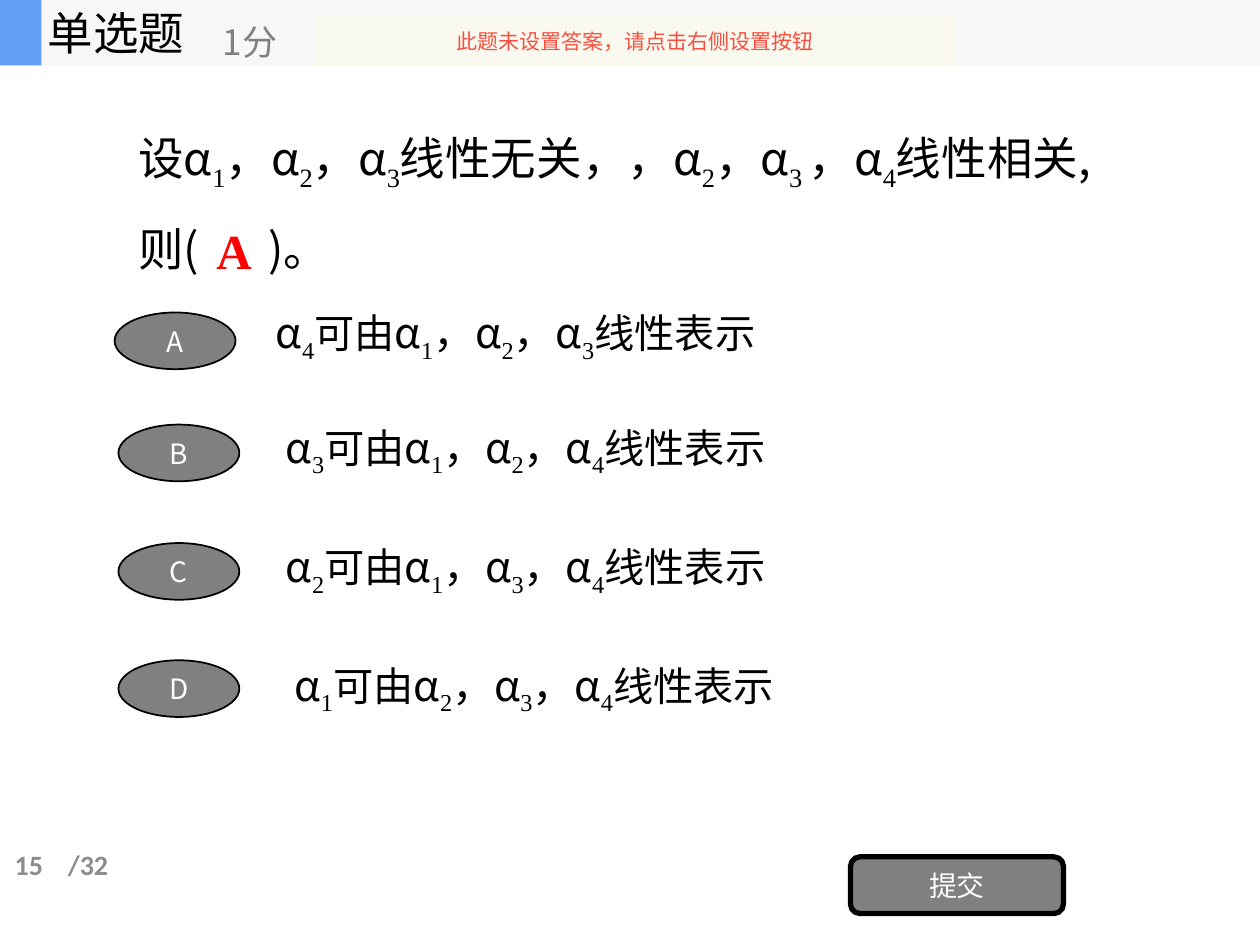
from dataclasses import dataclass
from itertools import groupby

from lxml.etree import SubElement
from pptx import Presentation
from pptx.dml.color import RGBColor
from pptx.enum.shapes import MSO_SHAPE as SHAPE
from pptx.enum.text import MSO_ANCHOR as ANCHOR, MSO_AUTO_SIZE as AUTO, PP_ALIGN as ALIGN
from pptx.oxml.ns import qn
from pptx.util import Inches, Pt


@dataclass(frozen=True)
class Theme:
    cjk: str = "Noto Sans CJK SC"
    serif: str = "Times New Roman"
    sans: str = "Calibri"
    ink: str = "000000"
    white: str = "FFFFFF"
    gray: str = "808080"
    page: str = "8C8C8C"
    answer: str = "FF0000"
    bar: str = "F6F7F8"
    accent: str = "639EF4"
    banner: str = "FBFAEF"
    warning: str = "F84F41"
    question_size: int = 26
    symbol_size: int = 24
    word_size: int = 23
    answer_size: int = 28
    points_size: int = 20
    label_size: int = 16
    notice_size: int = 12


T = Theme()
WIDTH, HEIGHT = Inches(10), Inches(7.5)

TITLE = "单选题"
POINTS = "1分"
NOTICE = "此题未设置答案，请点击右侧设置按钮"
QUESTION = "设α1，α2，α3线性无关，，α2，α3 ，α4线性相关,"
BLANK = "则(\t)。"
ANSWER = "A"
SUBMIT = "提交"
PAGE, TOTAL = "15", "/32"
OPTIONS = [
    ("A", "α4可由α1，α2，α3线性表示", (9.1, 33.07), (20.9, 32.13)),
    ("B", "α3可由α1，α2，α4线性表示", (9.4, 44.93), (21.7, 44.27)),
    ("C", "α2可由α1，α3，α4线性表示", (9.4, 57.47), (21.7, 56.93)),
    ("D", "α1可由α2，α3，α4线性表示", (9.4, 69.87), (22.4, 69.47)),
]
BADGE = (9.6, 6)
OPTION = (59.1, 6.7)
HEADER_HEIGHT = 6.93


def share(x, y, w, h):
    return [int(v * full / 100) for v, full in zip((x, y, w, h), (WIDTH, HEIGHT) * 2)]


def add_run(p, text, size, color, font, bold=False, sub=False):
    r = p.add_run()
    r.text = text
    r.font.size, r.font.bold, r.font.name = Pt(size), bold, font
    r.font.color.rgb = RGBColor.from_string(color)
    rPr = r.font._element
    SubElement(rPr, qn("a:ea"), typeface=font)
    if sub:
        rPr.set("baseline", "-25000")


def write(sp, text, size=T.label_size, color=T.ink, font=T.cjk, bold=False,
          align=ALIGN.LEFT, anchor=ANCHOR.MIDDLE, grow=False, tab=None,
          formula=False, word_size=None):
    tf = sp.text_frame
    tf.word_wrap = True
    tf.auto_size = AUTO.SHAPE_TO_FIT_TEXT if grow else AUTO.NONE
    tf.vertical_anchor = anchor
    p = tf.paragraphs[0]
    p.alignment = align
    if tab:
        tabs = SubElement(p._p.get_or_add_pPr(), qn("a:tabLst"))
        SubElement(tabs, qn("a:tab"), pos=str(tab), algn="l")
    if not formula:
        add_run(p, text, size, color, font, bold)
        return sp
    for kind, chars in groupby(text, key=char_kind):
        run_size = word_size if kind == "word" and word_size else size
        sub = kind == "index"
        add_run(p, "".join(chars), run_size, color, T.serif if sub else font, bold, sub)
    return sp


def char_kind(c):
    if c.isdigit() or c == " ":
        return "index"
    return "symbol" if c in "α，" else "word"


def add_text(slide, box, text, **fmt):
    return write(slide.shapes.add_textbox(*share(*box)), text, **fmt)


def add_block(slide, kind, box, fill, line=None, width=1):
    sp = slide.shapes.add_shape(kind, *share(*box))
    sp.shadow.inherit = False
    sp.fill.solid()
    sp.fill.fore_color.rgb = RGBColor.from_string(fill)
    if line:
        sp.line.color.rgb = RGBColor.from_string(line)
        sp.line.width = Pt(width)
    else:
        sp.line.fill.background()
    return sp


def add_button(slide, kind, box, text, width):
    sp = add_block(slide, kind, box, T.gray, T.ink, width)
    write(sp, text, color=T.white, align=ALIGN.CENTER)


def add_header(slide):
    add_block(slide, SHAPE.RECTANGLE, (0, 0, 100, HEADER_HEIGHT), T.bar)
    accent = add_block(slide, SHAPE.RECTANGLE, (0, 0, 3.3, HEADER_HEIGHT), T.accent)
    title = slide.shapes.title
    title.left, title.top, title.width, title.height = share(2.8, 0, 33.3, HEADER_HEIGHT)
    write(title, TITLE, size=T.question_size)
    accent._element.addnext(title._element)
    add_text(slide, (16.7, 1.6, 40, 5.6), POINTS, size=T.points_size, color=T.gray)
    banner = add_block(slide, SHAPE.RECTANGLE, (24.9, 1.73, 51, 5.33), T.banner)
    SubElement(banner.fill._xPr.find(".//" + qn("a:srgbClr")), qn("a:alpha"), val="90000")
    write(banner, NOTICE, size=T.notice_size, color=T.warning, align=ALIGN.CENTER)


def add_question(slide):
    add_text(slide, (10, 13.47, 83.3, 7.2), QUESTION, size=T.question_size,
             formula=True, grow=True)
    add_text(slide, (10, 22.67, 55.1, 7.2), BLANK, size=T.question_size,
             tab=Inches(1.03), grow=True)
    add_text(slide, (16.2, 22.67, 6.3, 7.6), ANSWER, size=T.answer_size, color=T.answer,
             font=T.serif, bold=True, anchor=ANCHOR.TOP, grow=True)
    for letter, text, badge_at, text_at in OPTIONS:
        add_button(slide, SHAPE.OVAL, badge_at + BADGE, letter, 1)
        add_text(slide, text_at + OPTION, text, size=T.symbol_size,
                 word_size=T.word_size, formula=True, grow=True)


def add_footer(slide):
    add_button(slide, SHAPE.ROUNDED_RECTANGLE, (67.5, 90.67, 16.9, 6), SUBMIT, 3)
    fmt = dict(color=T.page, font=T.sans, bold=True)
    add_text(slide, (4.4, 88.8, 7.2, 5.33), TOTAL, **fmt)
    page = add_text(slide, (0, 88.8, 4.4, 5.33), PAGE, align=ALIGN.RIGHT, **fmt)
    page.text_frame.margin_left = 0


def main():
    prs = Presentation()
    prs.slide_width, prs.slide_height = WIDTH, HEIGHT
    slide = prs.slides.add_slide(prs.slide_layouts[5])
    add_header(slide)
    add_question(slide)
    add_footer(slide)
    prs.save("out.pptx")


if __name__ == "__main__":
    main()
